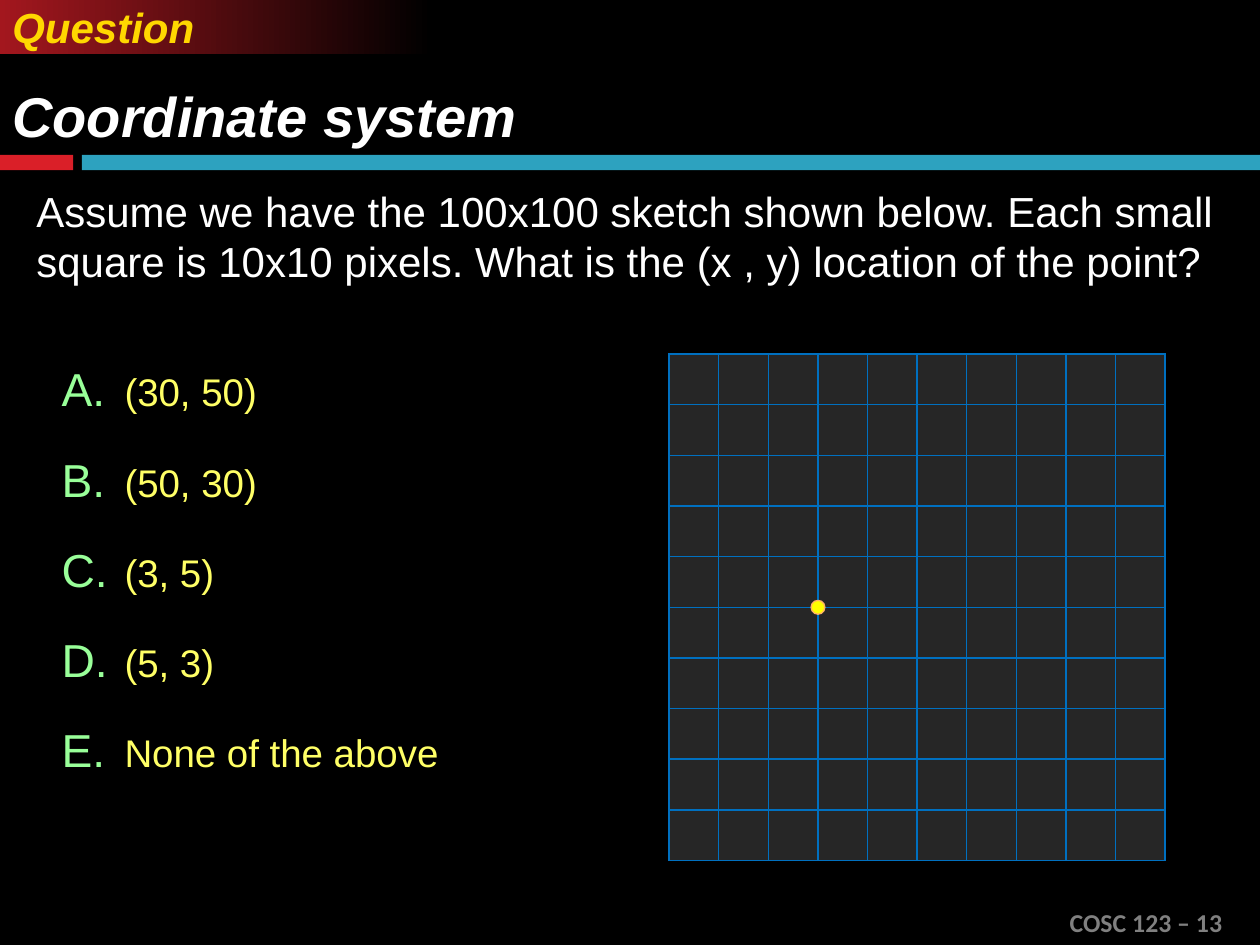
from lxml.etree import SubElement
from pptx import Presentation
from pptx.dml.color import RGBColor
from pptx.enum.shapes import MSO_SHAPE
from pptx.enum.text import MSO_ANCHOR
from pptx.oxml.ns import qn
from pptx.util import Inches, Pt


def color(value):
    return RGBColor.from_string(value)


def write(paragraph, text, font_color, **formats):
    run = paragraph.add_run()
    run.text = text
    run.font.color.rgb = color(font_color)
    for name, value in {"name": "Arial", **formats}.items():
        setattr(run.font, name, value)


presentation = Presentation()
presentation.slide_width = Inches(10)
presentation.slide_height = Inches(7.5)
slide = presentation.slides.add_slide(presentation.slide_layouts[6])
slide.background.fill.solid()
slide.background.fill.fore_color.rgb = color("000000")
shapes = slide.shapes

for left, width, fill in [(0, 0.58, "DA1F28"), (0.65, 9.35, "2DA2BF")]:
    bar = shapes.add_shape(MSO_SHAPE.RECTANGLE, Inches(left), Inches(1.23), Inches(width), Inches(0.12))
    bar.shadow.inherit = False
    bar.fill.solid()
    bar.fill.fore_color.rgb = color(fill)
    bar.line.fill.background()

footer = shapes.add_textbox(Inches(8.39), Inches(7.15), Inches(1.68), Inches(0.35))
footer.text_frame.word_wrap = False
write(footer.text_frame.paragraphs[0], "COSC 123 – 13", "808080", name="Calibri", size=Pt(14.7), bold=True)

banner = shapes.add_textbox(0, 0, Inches(3.43), Inches(0.43))
banner.fill.gradient()
banner.fill.gradient_angle = 0
for stop, stop_color in zip(banner.fill.gradient_stops, ["A3171E", "000000"]):
    stop.color.rgb = color(stop_color)
banner.text_frame.vertical_anchor = MSO_ANCHOR.MIDDLE
write(banner.text_frame.paragraphs[0], "Question", "FFD700", size=Pt(24), bold=True, italic=True)

title = shapes.add_textbox(0, Inches(0.44), Inches(10), Inches(0.79))
title.text_frame.word_wrap = True
title.text_frame.vertical_anchor = MSO_ANCHOR.BOTTOM
write(title.text_frame.paragraphs[0], "Coordinate system", "FFFFFF", size=Pt(32), bold=True, italic=True)

body = shapes.add_textbox(0, Inches(1.42), Inches(10), Inches(6.08))
body.text_frame.word_wrap = True
question = body.text_frame.paragraphs[0]
question._p.get_or_add_pPr().set("marL", str(Inches(0.19)))
write(
    question,
    "Assume we have the 100x100 sketch shown below. Each small square is 10x10 pixels. "
    "What is the (x , y) location of the point?",
    "FFFFFF",
    size=Pt(24),
)

answers = ["(30, 50)", "(50, 30)", "(3, 5)", "(5, 3)", "None of the above"]
for index, answer in enumerate(answers):
    paragraph = body.text_frame.add_paragraph()
    paragraph.level = 1
    paragraph.line_spacing = 1.5
    paragraph.space_before = Pt(12 if index else 34)
    properties = paragraph._p.get_or_add_pPr()
    properties.set("marL", str(Inches(0.89)))
    properties.set("indent", str(Inches(-0.5)))
    SubElement(SubElement(properties, qn("a:buClr")), qn("a:srgbClr"), val="99FF99")
    SubElement(properties, qn("a:buSzPct"), val="120000")
    SubElement(properties, qn("a:buFont"), typeface="Arial")
    SubElement(properties, qn("a:buAutoNum"), type="alphaUcPeriod")
    write(paragraph, answer, "FFFF66", size=Pt(22))

grid_left, grid_top, grid_width, grid_height = 5.31, 2.81, 3.94, 4.02
grid = shapes.add_table(
    10, 10, Inches(grid_left), Inches(grid_top), Inches(grid_width), Inches(grid_height)
).table
for cell in grid.iter_cells():
    cell_properties = cell._tc.get_or_add_tcPr()
    for side in ["lnL", "lnR", "lnT", "lnB"]:
        border = SubElement(cell_properties, qn(f"a:{side}"), w=str(Pt(1)))
        SubElement(SubElement(border, qn("a:solidFill")), qn("a:srgbClr"), val="0070C0")
    cell.fill.solid()
    cell.fill.fore_color.rgb = color("262626")

diameter = 0.11
point_left = grid_left + 0.3 * grid_width - diameter / 2
point_top = grid_top + 0.5 * grid_height - diameter / 2
point = shapes.add_shape(
    MSO_SHAPE.OVAL, Inches(point_left), Inches(point_top), Inches(diameter), Inches(diameter)
)
point.shadow.inherit = False
point.fill.solid()
point.fill.fore_color.rgb = color("FFFF00")
point.line.color.rgb = color("FFB265")
point.line.width = Pt(0.75)

presentation.save("out.pptx")
